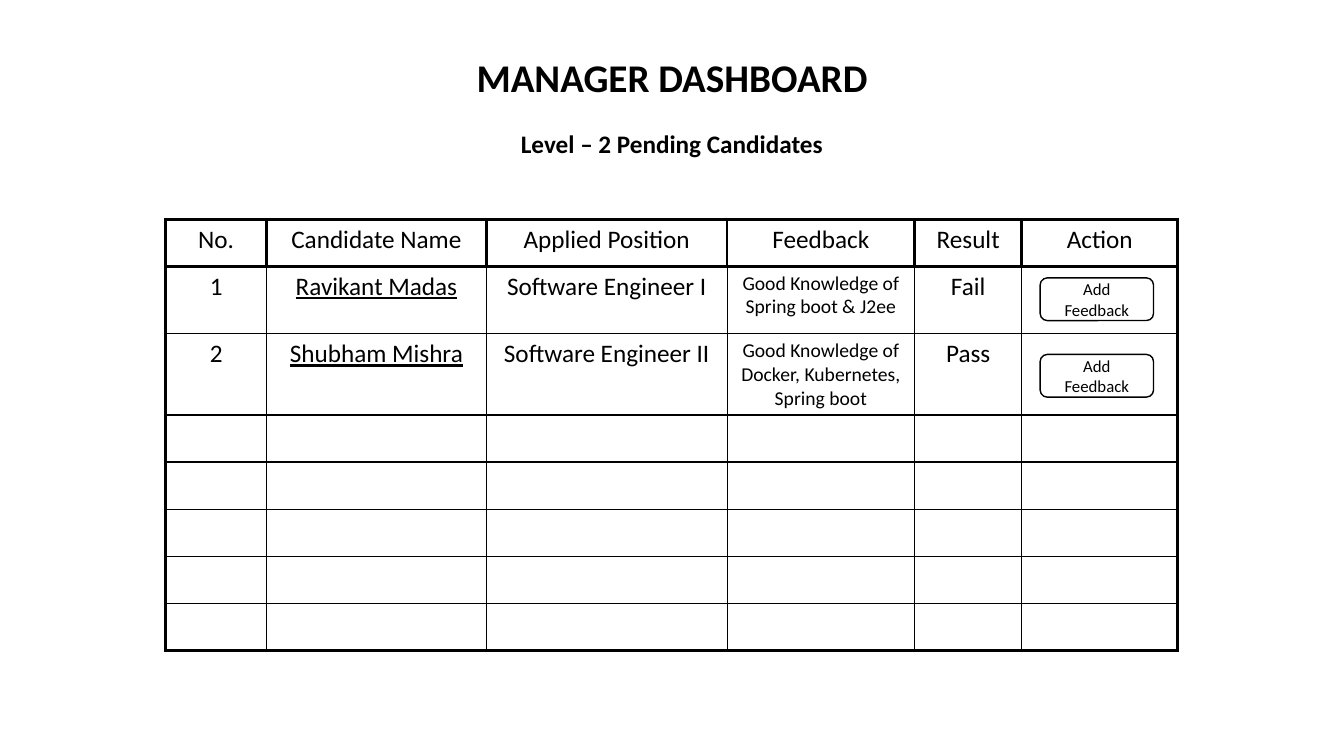
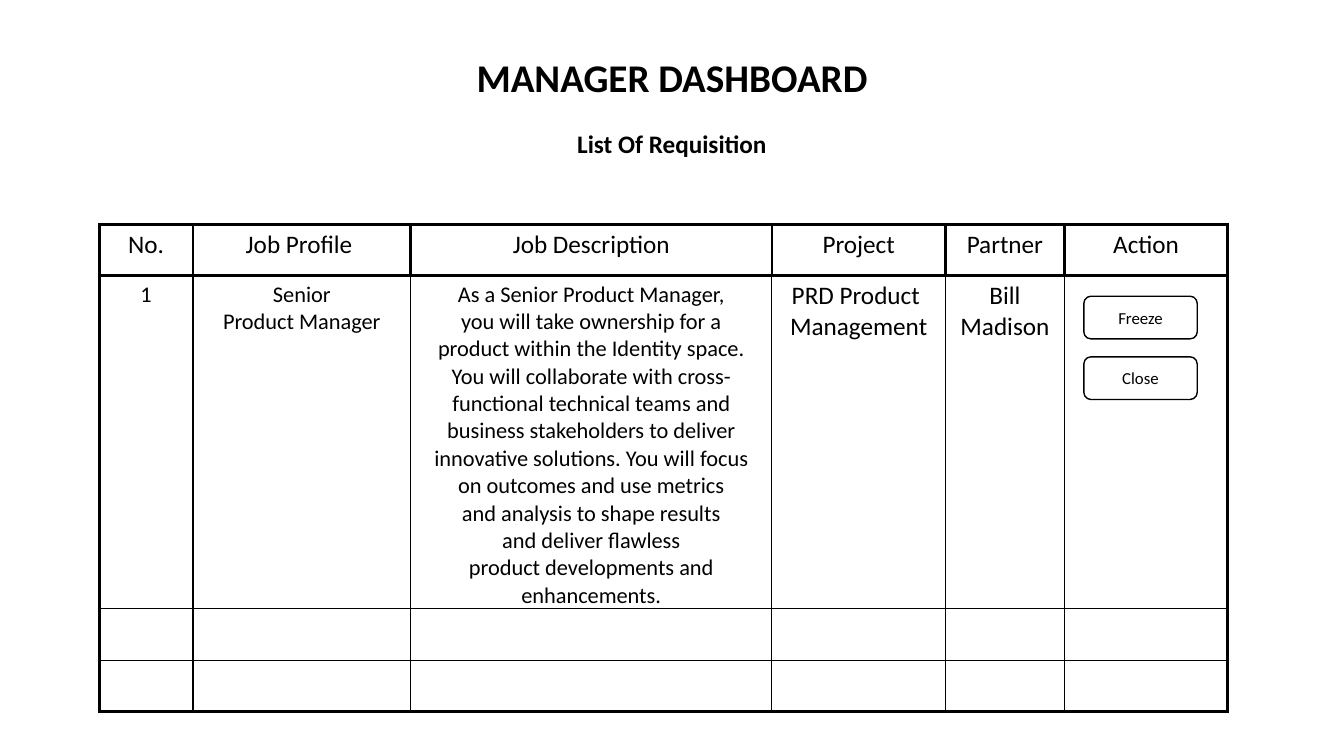
from dataclasses import dataclass

from lxml.etree import SubElement
from pptx import Presentation
from pptx.dml.color import RGBColor
from pptx.enum.shapes import MSO_SHAPE
from pptx.enum.text import MSO_ANCHOR, PP_ALIGN
from pptx.oxml.ns import qn
from pptx.util import Pt


@dataclass(frozen=True)
class Theme:
    font: str = "Calibri"
    ink: RGBColor = RGBColor(0, 0, 0)
    paper: RGBColor = RGBColor(255, 255, 255)
    title: int = 28
    subtitle: int = 18
    cell: int = 18
    button: int = 12
    thin: float = 1
    thick: float = 2.25


T = Theme()
TITLE = "MANAGER DASHBOARD"
TITLE_BOX = (240, 34.6, 480, 41)
SUBTITLE_BOX = (355.5, 88.1, 249, 29)
BUTTON_SIZE = (81, 30.5)
TIE, HARD_SPACE = "~", chr(160)

SLIDES = [
    {
        "subtitle": "Level – 2 Pending Candidates",
        "origin": (118.4, 156.7),
        "cols": [72, 157, 172, 134, 76.5, 111.5],
        "heights": [33.6, 48.2, 58] + [33.6] * 5,
        "header": ["No.", "Candidate Name", "Applied Position", "Feedback", "Result", "Action"],
        "body": [
            ["1", "Ravikant Madas", "Software Engineer I",
             "Good Knowledge~of Spring boot & J2ee", "Fail"],
            ["2", "Shubham Mishra", "Software Engineer II",
             "Good Knowledge~of Docker, Kubernetes, Spring boot", "Pass"],
        ],
        "sizes": {3: 14},
        "underlined": 1,
        "bottom_margin": 3.6,
        "buttons": [("Add Feedback", 743, 198.5), ("Add Feedback", 743, 253.2)],
    },
    {
        "subtitle": "List Of Requisition",
        "origin": (70.9, 160.1),
        "cols": [67, 155.5, 258, 124, 85, 116.7],
        "heights": [36.8, 237.9, 36.8, 36.8],
        "header": ["No.", "Job Profile ", "Job Description", "Project", "Partner", "Action"],
        "body": [
            ["1", "Senior Product~Manager",
             "As a Senior Product Manager, you~will take ownership for a product~within "
             "the Identity space. You will~collaborate with cross-functional~technical "
             "teams and business~stakeholders to deliver innovative~solutions. You will "
             "focus on~outcomes and use metrics and~analysis to shape results and~deliver "
             "flawless product~developments and enhancements.",
             "PRD Product~\nManagement", "Bill Madison"],
        ],
        "sizes": {0: 16, 1: 16, 2: 16},
        "underlined": None,
        "bottom_margin": 0,
        "buttons": [("Freeze", 774.2, 211.6), ("Close", 774.2, 254.9)],
    },
]


def write(tf, text, size, bold=None, underline=None):
    tf.text = text.replace(TIE, HARD_SPACE)
    for p in tf.paragraphs:
        p.alignment = PP_ALIGN.CENTER
        f = p.font
        f.name, f.size, f.color.rgb = T.font, Pt(size), T.ink
        f.bold, f.underline = bold, underline


def set_borders(cell, widths):
    tc_pr = cell._tc.get_or_add_tcPr()
    for side, width in zip("LRTB", widths):
        ln = SubElement(tc_pr, qn(f"a:ln{side}"), w=str(Pt(width)))
        fill = SubElement(ln, qn("a:solidFill"))
        SubElement(fill, qn("a:srgbClr"), val=str(T.ink))


def add_headings(slide, subtitle):
    title = slide.shapes.title
    title.left, title.top, title.width, title.height = map(Pt, TITLE_BOX)
    sub = slide.shapes.add_textbox(*map(Pt, SUBTITLE_BOX))
    for sp, text, size in ((title, TITLE, T.title), (sub, subtitle, T.subtitle)):
        tf = sp.text_frame
        tf.word_wrap = True
        tf.vertical_anchor = MSO_ANCHOR.TOP
        write(tf, text, size, bold=True)


def add_grid(slide, data):
    cols, heights = data["cols"], data["heights"]
    n_rows, n_cols = len(heights), len(cols)
    box = (*data["origin"], sum(cols), sum(heights))
    table = slide.shapes.add_table(n_rows, n_cols, *map(Pt, box)).table
    table.first_row = table.horz_banding = False
    for col, width in zip(table.columns, cols):
        col.width = Pt(width)
    rows = [data["header"]] + data["body"]
    for r, height in enumerate(heights):
        table.rows[r].height = Pt(height)
        values = rows[r] if r < len(rows) else []
        for c in range(n_cols):
            cell = table.cell(r, c)
            text = values[c] if c < len(values) else ""
            body = 0 < r < len(rows)
            size = data["sizes"].get(c, T.cell) if body else T.cell
            underline = True if body and c == data["underlined"] else None
            write(cell.text_frame, text, size, underline=underline)
            if body:
                cell.margin_bottom = Pt(data["bottom_margin"])
            heavy = (r == 0 or c == 0, r == 0 or c == n_cols - 1,
                     r <= 1, r in (0, n_rows - 1))
            set_borders(cell, [T.thick if h else T.thin for h in heavy])
            cell.fill.background()


def add_button(slide, label, left, top):
    sp = slide.shapes.add_shape(MSO_SHAPE.ROUNDED_RECTANGLE,
                                *map(Pt, (left, top, *BUTTON_SIZE)))
    sp.shadow.inherit = False
    sp.fill.solid()
    sp.fill.fore_color.rgb = T.paper
    sp.line.color.rgb = T.ink
    sp.line.width = Pt(T.thin)
    tf = sp.text_frame
    tf.word_wrap = True
    tf.vertical_anchor = MSO_ANCHOR.MIDDLE
    write(tf, label, T.button)


def main():
    prs = Presentation()
    prs.slide_width, prs.slide_height = Pt(960), Pt(540)
    for data in SLIDES:
        slide = prs.slides.add_slide(prs.slide_layouts[5])
        add_headings(slide, data["subtitle"])
        add_grid(slide, data)
        for button in data["buttons"]:
            add_button(slide, *button)
    prs.save("out.pptx")


if __name__ == "__main__":
    main()
